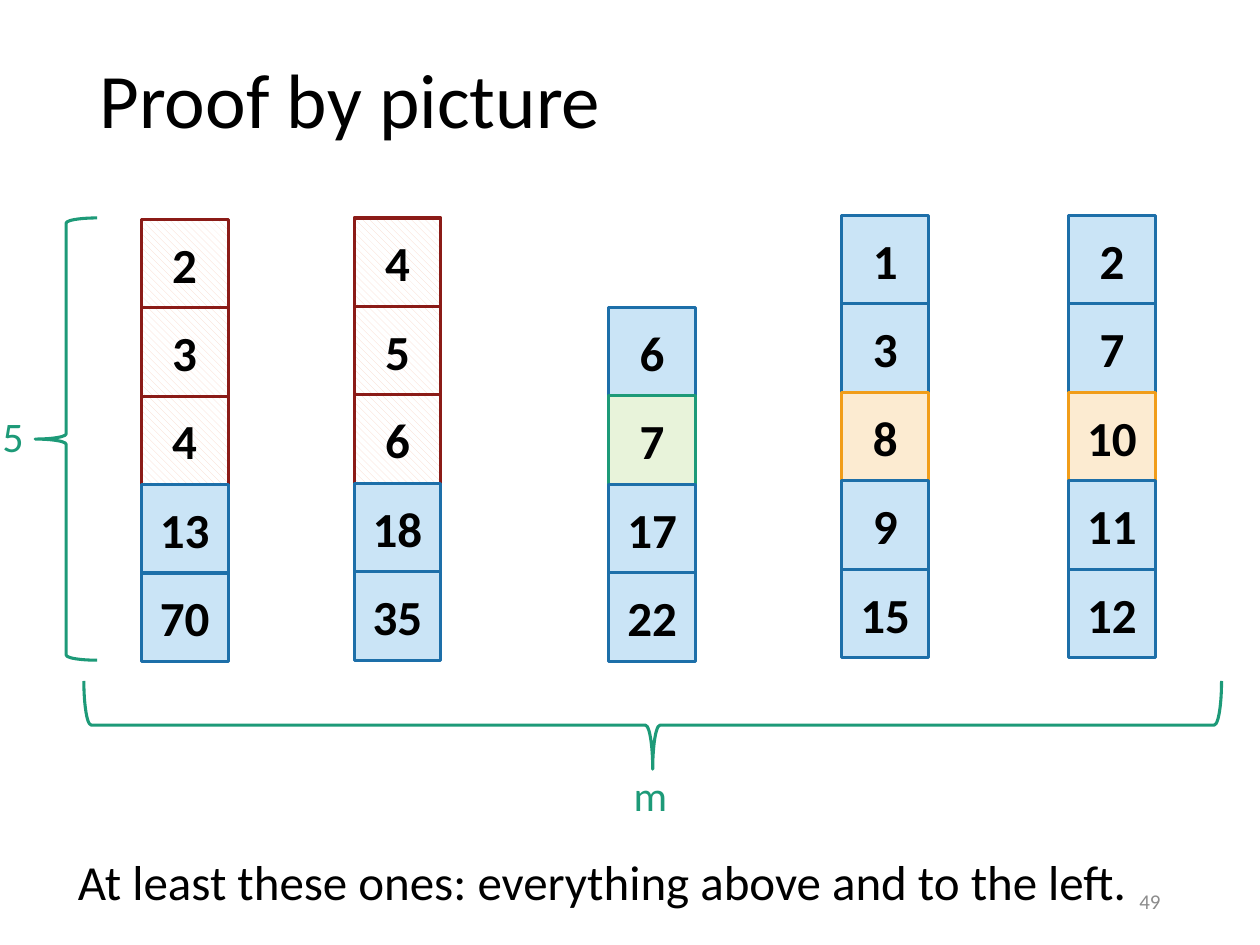
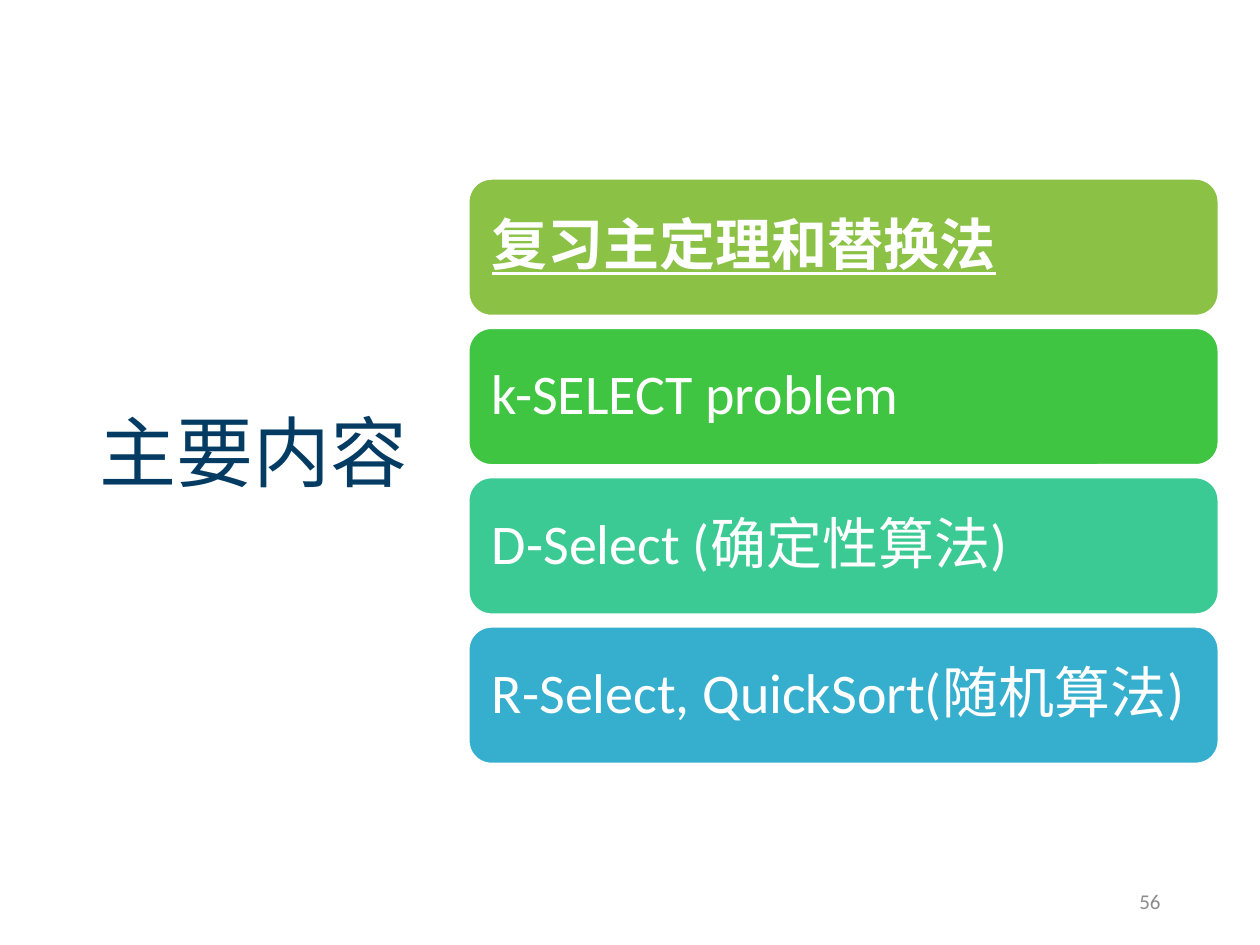
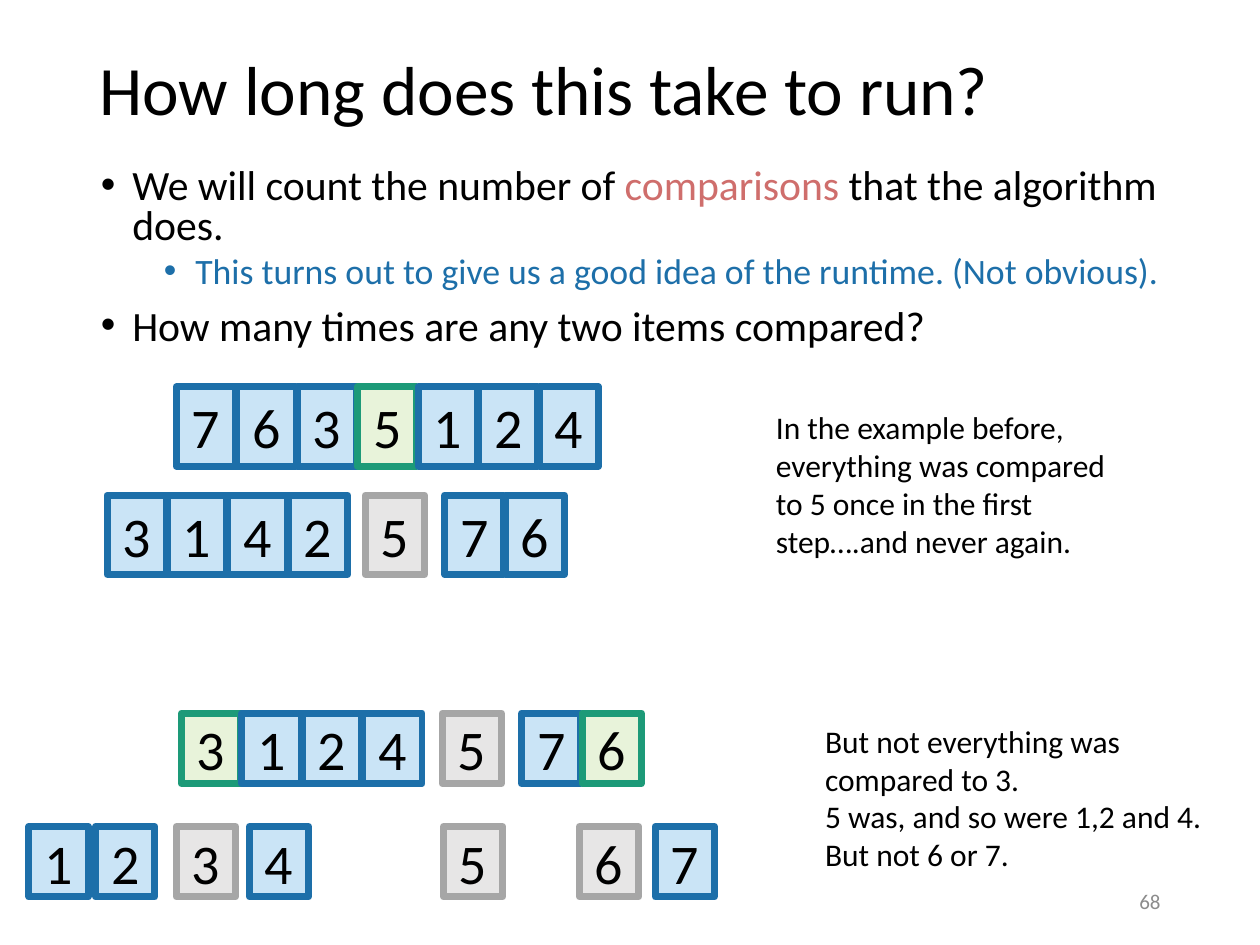
import pptx
import pptx.util
import pptx.dml.color
import pptx.enum.dml
import pptx.enum.shapes
import pptx.enum.text
from dataclasses import dataclass
from lxml import etree

PX = 9144  # one px is a hundredth of an inch
SHAPES = pptx.enum.shapes.MSO_SHAPE
ALIGN = pptx.enum.text.PP_ALIGN
ANCHOR = pptx.enum.text.MSO_ANCHOR
AUTO_SIZE = pptx.enum.text.MSO_AUTO_SIZE


@dataclass(frozen=True)
class Theme:
    font: str = "Calibri"
    black: str = "000000"
    white: str = "FFFFFF"
    navy: str = "033B63"
    blue: str = "1D6FA9"
    green: str = "1D9A78"
    red: str = "CF6E6C"
    grey: str = "8C8C8C"
    hatch: str = "F8D8CA"
    agenda: tuple = ("8BC145", "40C543", "3BCA93", "36AFCE")
    title_size: float = 44
    long_title_size: float = 39.6
    agenda_size: float = 32
    digit_size: float = 32
    number_size: float = 28
    label_size: float = 24
    body_size: float = 23.8
    sub_size: float = 20.4
    note_size: float = 18
    footer_size: float = 12
    thin: float = 1.75
    thick: float = 4


THEME = Theme()

# Mark after a cell's value -> (fill, line); no fill means hatched
CELL_KINDS = {
    "": ("CAE4F6", THEME.blue),
    "*": ("E8F3DA", THEME.green),   # pivot
    "+": ("FCEBD1", "F19D19"),      # median of its column
    "~": ("E7E6E6", "A6A6A6"),      # finished pivot
    "x": (None, "8B1B17"),          # surely smaller
}


def rgb(value):
    return pptx.dml.color.RGBColor.from_string(value)


def px(*lengths):
    return [round(length * PX) for length in lengths]


def apply(target, values):
    for name, value in values.items():
        setattr(target, name, value)


def format_font(font, size, color, **values):
    apply(font, {"name": THEME.font, "size": pptx.util.Pt(size), **values})
    font.color.rgb = rgb(color)


def write(frame, lines, size, color, paragraph_format=None, **font_values):
    """Fill a text frame; each line is a string or a list of (text, color)."""
    for index, line in enumerate(lines):
        paragraph = frame.paragraphs[0] if index == 0 else frame.add_paragraph()
        apply(paragraph, paragraph_format or {})
        runs = [(line, color)] if isinstance(line, str) else line
        for text, run_color in runs:
            run = paragraph.add_run()
            run.text = text
            format_font(run.font, size, run_color, **font_values)


def add_text(slide, box, lines, size, color, align=ALIGN.LEFT, **frame_values):
    frame = slide.shapes.add_textbox(*px(*box)).text_frame
    apply(frame, {"word_wrap": True, "auto_size": AUTO_SIZE.SHAPE_TO_FIT_TEXT, **frame_values})
    write(frame, lines, size, color, {"alignment": align})


def add_shape(slide, kind, box, fill, line, width):
    shape = slide.shapes.add_shape(kind, *px(*box))
    shape.shadow.inherit = False
    if fill:
        shape.fill.solid()
        shape.fill.fore_color.rgb = rgb(fill)
    else:
        shape.fill.background()
    shape.line.color.rgb = rgb(line)
    shape.line.width = pptx.util.Pt(width)
    return shape


def start_slide(presentation, layout, title, box, number, size=THEME.title_size, color=THEME.black):
    """Add a slide with its title and slide number."""
    slide = presentation.slides.add_slide(presentation.slide_layouts[layout])
    holder = slide.shapes.title
    apply(holder, dict(zip(("left", "top", "width", "height"), px(*box))))
    apply(holder.text_frame, {"vertical_anchor": ANCHOR.MIDDLE, "auto_size": AUTO_SIZE.NONE})
    write(holder.text_frame, [title], size, color, {"alignment": ALIGN.LEFT, "line_spacing": 0.9})
    add_text(slide, (706, 695, 225, 40), [number], THEME.footer_size, THEME.grey,
             ALIGN.RIGHT, vertical_anchor=ANCHOR.MIDDLE, auto_size=AUTO_SIZE.NONE)
    return slide


def draw_cells(slide, box, cells, step, size, line_width, bold=False):
    """Draw marked values from the first cell's box, one step (x, y) apart."""
    left, top, width, height = box
    for index, cell in enumerate(cells.split()):
        value = cell.rstrip("*+~x")
        fill, line = CELL_KINDS[cell[len(value):]]
        place = (left + index * step[0], top + index * step[1], width, height)
        shape = add_shape(slide, SHAPES.RECTANGLE, place, fill, line, line_width)
        if fill is None:
            shape.fill.patterned()
            shape.fill.pattern = pptx.enum.dml.MSO_PATTERN.WIDE_DOWNWARD_DIAGONAL
            shape.fill.fore_color.rgb = rgb(THEME.hatch)
            shape.fill.back_color.rgb = rgb(THEME.white)
        shape.text_frame.vertical_anchor = ANCHOR.MIDDLE
        write(shape.text_frame, [value], size, THEME.black, {"alignment": ALIGN.CENTER}, bold=bold)


def draw_columns(slide):
    """Groups of five, each sorted downwards."""
    pitch = 351 / 5
    columns = [
        (112, 174, "2x 3x 4x 13 70"),
        (281, 173, "4x 5x 6x 18 35"),
        (483, 244, "6 7* 17 22"),
        (668, 171, "1 3 8+ 9 15"),
        (848, 171, "2 7 10+ 11 12"),
    ]
    for left, top, cells in columns:
        draw_cells(slide, (left, top, 69, pitch), cells, (0, pitch),
                   THEME.number_size, THEME.thin, bold=True)


def draw_braces(slide):
    """Braces and labels for the column height and the column count."""
    braces = [
        (SHAPES.LEFT_BRACE, (28, 173, 49, 351), 0, "5", (-8, 321, 76, 50)),
        (SHAPES.RIGHT_BRACE, (483, 124, 70, 903), 90, "m", (493, 606, 76, 50)),
    ]
    for kind, box, rotation, label, label_box in braces:
        add_shape(slide, kind, box, None, THEME.green, THEME.thin).rotation = rotation
        add_text(slide, label_box, [label], THEME.label_size, THEME.green)


def build_proof(presentation):
    slide = start_slide(presentation, 5, "Proof by picture", (69, 40, 862, 84), "49")
    draw_columns(slide)
    draw_braces(slide)
    add_text(slide, (52, 671, 866, 57),
             ["At least these ones: everything above and to the left."],
             THEME.number_size, THEME.black)


def draw_agenda(slide, box, topics):
    """Stack one rounded bar per topic, the first one being current."""
    left, top, width, height = box
    gap = 10
    bar_height = (height - gap * (len(topics) - 1)) / len(topics)
    margins = {f"margin_{side}": 13 * PX for side in ("left", "top", "right", "bottom")}
    for index, (topic, fill) in enumerate(zip(topics, THEME.agenda)):
        place = (left, top + index * (bar_height + gap), width, bar_height)
        bar = add_shape(slide, SHAPES.ROUNDED_RECTANGLE, place, fill, THEME.white, 1)
        apply(bar.text_frame, {"vertical_anchor": ANCHOR.MIDDLE, "word_wrap": True, **margins})
        current = index == 0
        write(bar.text_frame, [topic], THEME.agenda_size, THEME.white,
              {"alignment": ALIGN.LEFT, "line_spacing": 0.9}, bold=current, underline=current)


def build_agenda(presentation):
    slide = start_slide(presentation, 5, "主要内容", (69, 131, 284, 463), "56", color=THEME.navy)
    topics = ["复习主定理和替换法", "k-SELECT problem", "D-Select (确定性算法)",
              "R-Select, QuickSort(随机算法)"]
    draw_agenda(slide, (372, 142, 595, 464), topics)


def add_bullet(paragraph, indent):
    properties = paragraph._p.get_or_add_pPr()
    apply_indent = {"marL": indent * PX, "indent": -25 * PX}
    for name, value in apply_indent.items():
        properties.set(name, str(value))
    bullet = etree.SubElement(properties, pptx.oxml.ns.qn("a:buChar"))
    bullet.set("char", "•")


def fill_body(slide, box):
    """Bulleted text in the content placeholder."""
    body = slide.placeholders[1]
    apply(body, dict(zip(("left", "top", "width", "height"), px(*box))))
    frame = body.text_frame
    frame.auto_size = AUTO_SIZE.NONE
    items = [
        (0, 0, THEME.body_size, [("We will count the number of ", THEME.black),
                                 ("comparisons", THEME.red),
                                 (" that the algorithm does.", THEME.black)]),
        (1, 5, THEME.sub_size, [("This turns out to give us a good idea of the runtime. "
                                 "(Not obvious).", THEME.blue)]),
        (0, 10, THEME.body_size, [("How many times are any two items compared?", THEME.black)]),
    ]
    for index, (level, space, size, runs) in enumerate(items):
        paragraph = frame.paragraphs[0] if index == 0 else frame.add_paragraph()
        add_bullet(paragraph, 25 + 50 * level)
        apply(paragraph, {"level": level, "line_spacing": 0.8,
                          "space_before": pptx.util.Pt(space)})
        for text, color in runs:
            run = paragraph.add_run()
            run.text = text
            format_font(run.font, size, color)


def draw_partitions(slide):
    """Arrays before and after each partition step."""
    rows = [
        (307, 63, [(140, "7 6 3 5* 1 2 4")]),
        (393, 63, [(85, "3 1 4 2"), (290, "5~"), (353, "7 6")]),
        (566, 56, [(144, "3* 1 2 4"), (351, "5~"), (414, "7 6*")]),
        (656, 56, [(23, "1"), (76, "2"), (140, "3~"), (198, "4"),
                   (352, "5~"), (460, "6~"), (520, "7")]),
    ]
    for top, height, groups in rows:
        for left, cells in groups:
            draw_cells(slide, (left, top, 47, height), cells, (48, 0),
                       THEME.digit_size, THEME.thick)


def build_runtime(presentation):
    slide = start_slide(presentation, 1, "How long does this take to run?",
                        (69, 40, 862, 68), "68", THEME.long_title_size)
    fill_body(slide, (70, 129, 862, 170))
    draw_partitions(slide)
    notes = [
        ((606, 319, 307, 131), ["In the example before, everything was compared to 5 once "
                                "in the first step….and never again."]),
        ((645, 568, 342, 131), ["But not everything was compared to 3.",
                                "5 was, and so were 1,2 and 4.", "But not 6 or 7."]),
    ]
    for box, lines in notes:
        add_text(slide, box, lines, THEME.note_size, THEME.black)


def main():
    presentation = pptx.Presentation()
    presentation.slide_width, presentation.slide_height = px(1000, 750)
    build_proof(presentation)
    build_agenda(presentation)
    build_runtime(presentation)
    presentation.save("out.pptx")


if __name__ == "__main__":
    main()
